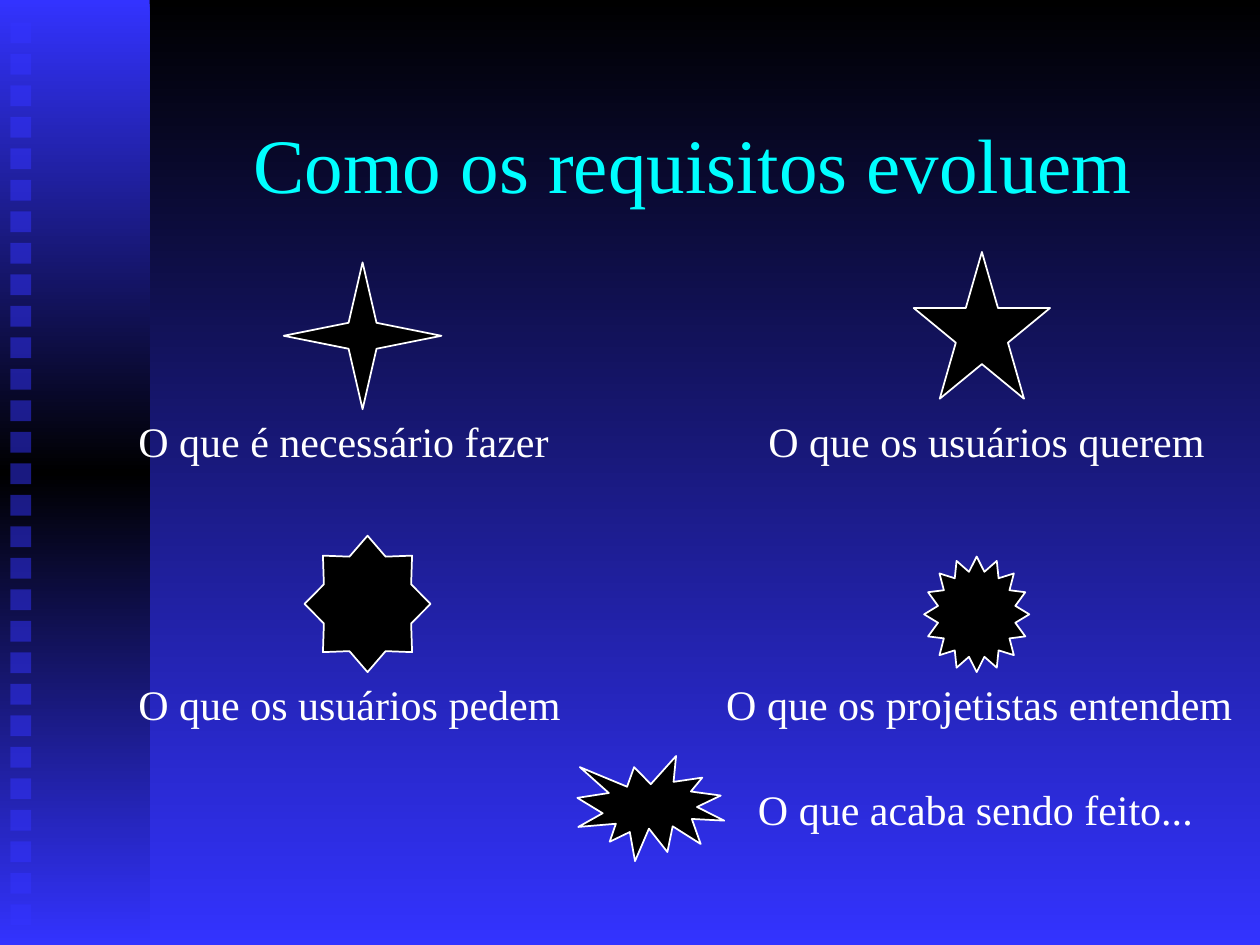
import copy

import pptx
import pptx.dml.color
import pptx.enum.shapes
import pptx.enum.text
import pptx.oxml.ns
import pptx.util
from lxml import etree

Cm = pptx.util.Cm
STAR = pptx.enum.shapes.MSO_SHAPE
qn = pptx.oxml.ns.qn
COLORS = {
    name: pptx.dml.color.RGBColor.from_string(value)
    for name, value in {
        "blue": "3333FF",
        "black": "000000",
        "white": "FFFFFF",
        "cyan": "00FFFF",
    }.items()
}


def set_vertical_gradient(fill, top, bottom):
    fill.gradient()
    fill.gradient_angle = 270
    for stop, color, position in zip(fill.gradient_stops, (top, bottom), (0, 1)):
        stop.color.rgb = COLORS[color]
        stop.position = position


def add_text(words, left, top, width, height, size, color):
    box = slide.shapes.add_textbox(Cm(left), Cm(top), Cm(width), Cm(height))
    box.text_frame.word_wrap = False
    box.text_frame.text = words
    font = box.text_frame.paragraphs[0].runs[0].font
    font.name = "Times New Roman"
    font.size = pptx.util.Pt(size)
    font.color.rgb = COLORS[color]
    return box.text_frame


presentation = pptx.Presentation()
presentation.slide_width = Cm(25.4)
presentation.slide_height = Cm(19.05)
slide = presentation.slides.add_slide(presentation.slide_layouts[6])
set_vertical_gradient(slide.background.fill, "black", "blue")

# Side band: blue at both ends, black in the middle
band = slide.shapes.add_shape(STAR.RECTANGLE, 0, 0, Cm(3.02), Cm(19.05))
band.shadow.inherit = False
band.line.fill.background()
set_vertical_gradient(band.fill, "blue", "black")
stops = next(band._element.iter(qn("a:gsLst")))
stops.append(copy.deepcopy(stops[0]))
stops[1].set("pos", "50000")
stops[2].set("pos", "100000")

# Column of half-transparent squares
square_count = 29
first_top, last_top = 0.45, 18.23
pitch = (last_top - first_top) / (square_count - 1)
for index in range(square_count):
    square = slide.shapes.add_shape(
        STAR.RECTANGLE, Cm(0.21), Cm(first_top + index * pitch), Cm(0.42), Cm(0.42))
    square.shadow.inherit = False
    square.line.fill.background()
    square.fill.solid()
    square.fill.fore_color.rgb = COLORS["blue"]
    square_color = next(square._element.spPr.iter(qn("a:srgbClr")))
    etree.SubElement(square_color, qn("a:alpha")).set("val", "50000")

title = add_text("Como os requisitos evoluem", 3.18, 1.7, 21.59, 3.18, 44, "cyan")
title.word_wrap = True
title.vertical_anchor = pptx.enum.text.MSO_ANCHOR.MIDDLE
title.paragraphs[0].alignment = pptx.enum.text.PP_ALIGN.CENTER

# Each view of the requirements: star, its place, caption, caption place
views = [
    (STAR.STAR_4_POINT, (5.72, 5.29, 3.18, 2.96),
     "O que é necessário fazer", (2.54, 8.26, 8.79)),
    (STAR.STAR_5_POINT, (18.42, 5.08, 2.75, 2.96),
     "O que os usuários querem", (15.24, 8.26, 9.3)),
    (STAR.STAR_8_POINT, (6.14, 10.8, 2.54, 2.75),
     "O que os usuários pedem", (2.54, 13.55, 9.02)),
    (STAR.STAR_16_POINT, (18.63, 11.22, 2.12, 2.33),
     "O que os projetistas entendem", (14.39, 13.55, 10.72)),
    (STAR.EXPLOSION1, (11.64, 15.24, 2.96, 2.12),
     "O que acaba sendo feito...", (15.03, 15.66, 9.27)),
]
for outline, place, caption, caption_place in views:
    star = slide.shapes.add_shape(outline, *(Cm(length) for length in place))
    star.shadow.inherit = False
    star.fill.solid()
    star.fill.fore_color.rgb = COLORS["black"]
    star.line.color.rgb = COLORS["white"]
    star.line.width = pptx.util.Pt(1)
    add_text(caption, *caption_place, 1.27, 24, "white")

presentation.save("out.pptx")
